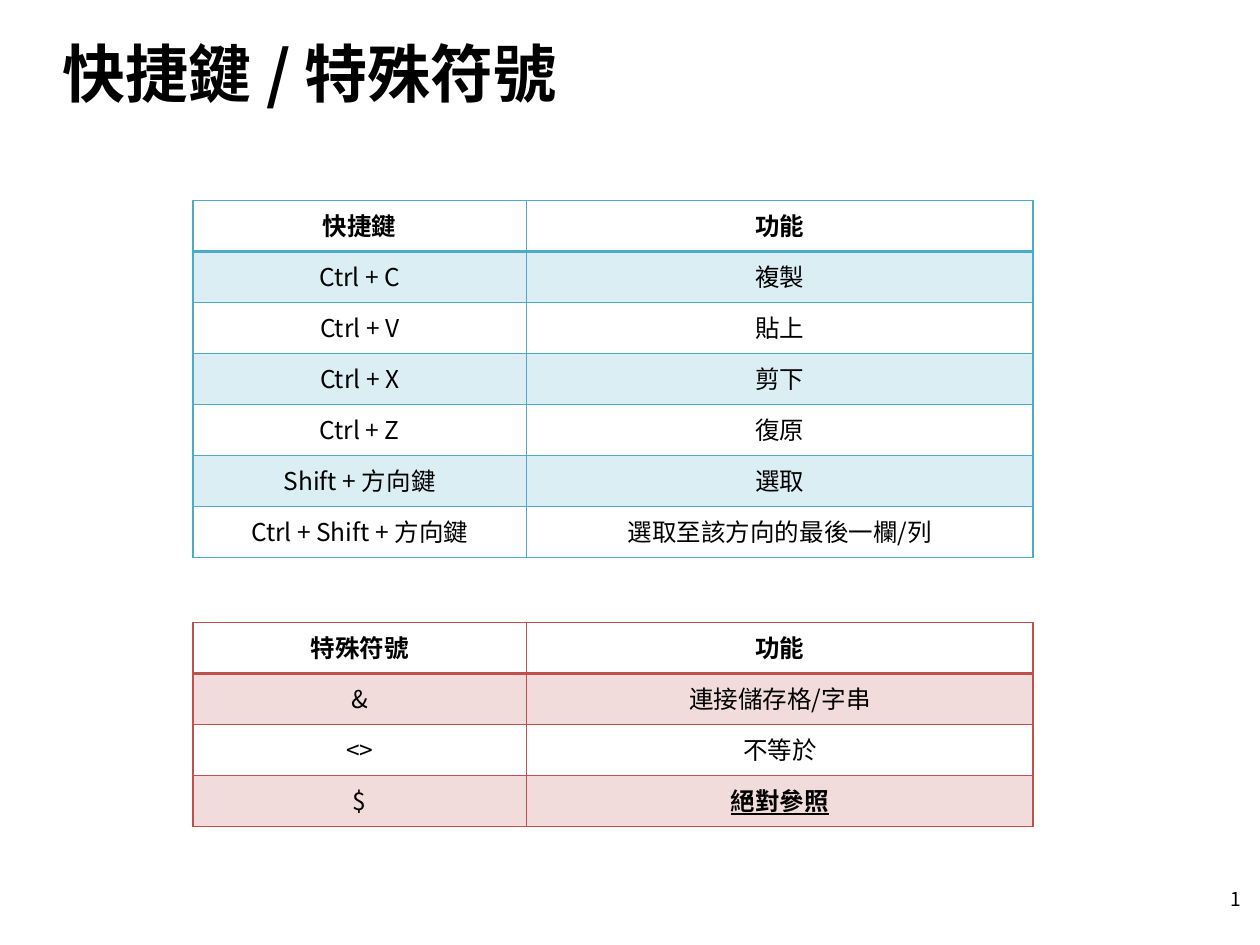
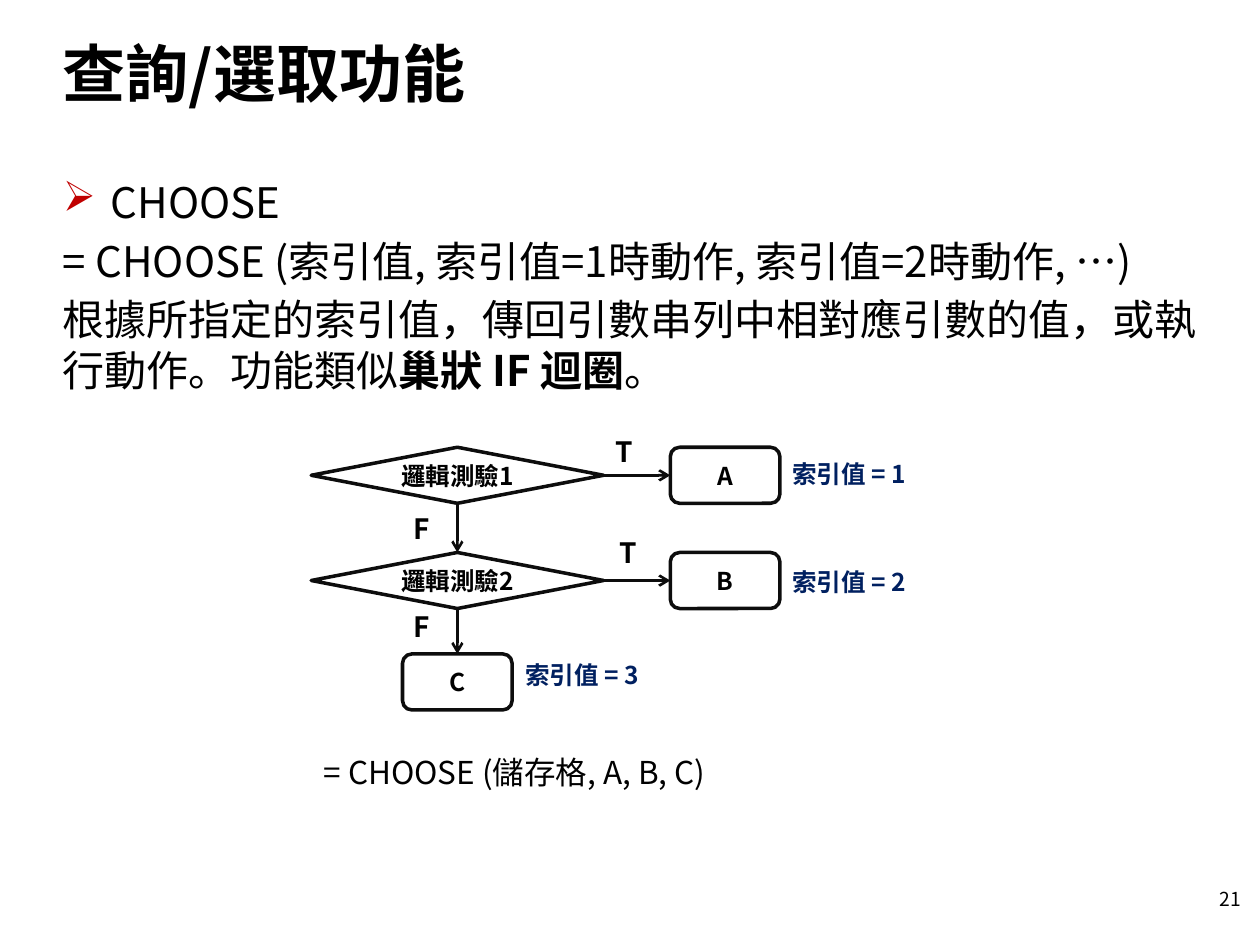
from lxml import etree
from pptx import Presentation
from pptx.dml.color import RGBColor
from pptx.enum.shapes import MSO_CONNECTOR, MSO_SHAPE
from pptx.enum.text import MSO_ANCHOR, PP_ALIGN
from pptx.oxml.ns import qn
from pptx.util import Emu, Pt

STRAIGHT = MSO_CONNECTOR.STRAIGHT
DIAMOND, ROUNDED = MSO_SHAPE.DIAMOND, MSO_SHAPE.ROUNDED_RECTANGLE
TOP, MIDDLE = MSO_ANCHOR.TOP, MSO_ANCHOR.MIDDLE
LEFT, CENTER, RIGHT = PP_ALIGN.LEFT, PP_ALIGN.CENTER, PP_ALIGN.RIGHT

PX = 4572
FONT = "Noto Sans CJK SC"
COLORS = {
    "text": "000000",
    "outline": "0D0D0D",
    "index": "002060",
    "bullet": "C00000",
    "teal": "4BACC6",
    "teal_band": "DBEEF4",
    "red": "C0504D",
    "red_band": "F2DCDB",
}
COLUMN_WIDTHS = (530, 804)
ROW_HEIGHT = 81
NODE_HEIGHT = 89
DIAMOND_WIDTH, RESULT_WIDTH = 464, 174
SHORTCUTS = [
    ("快捷鍵", "功能"),
    ("Ctrl + C", "複製"),
    ("Ctrl + V", "貼上"),
    ("Ctrl + X", "剪下"),
    ("Ctrl + Z", "復原"),
    ("Shift + 方向鍵", "選取"),
    ("Ctrl + Shift + 方向鍵", "選取至該方向的最後一欄/列"),
]
SYMBOLS = [("特殊符號", "功能"), ("&", "連接儲存格/字串"), ("<>", "不等於"), ("$", "絕對參照")]


def px(*lengths):
    """Convert px lengths to EMU."""
    return [Emu(length * PX) for length in lengths]


def rgb(name):
    """Look up a palette colour."""
    return RGBColor.from_string(COLORS[name])


def add_element(parent, tag, **attributes):
    """Append a DrawingML element to its parent."""
    return etree.SubElement(parent, qn(tag), attributes)


def write(paragraph, text, size=14, color="text", bold=False, underline=False, align=LEFT):
    """Add formatted text to a paragraph."""
    paragraph.alignment = align
    run = paragraph.add_run()
    run.text = text
    font = run.font
    font.size, font.bold, font.name = Pt(size), bold, FONT
    font.underline = underline
    font.color.rgb = rgb(color)
    add_element(font._element, "a:ea", typeface=FONT)


def add_text(slide, box, text, anchor=TOP, wrap=True, **style):
    """Place a text box and return its frame."""
    frame = slide.shapes.add_textbox(*px(*box)).text_frame
    frame.word_wrap, frame.vertical_anchor = wrap, anchor
    write(frame.paragraphs[0], text, **style)
    return frame


def add_page(deck, title, number):
    """Start a slide with its title and page number."""
    slide = deck.slides.add_slide(deck.slide_layouts[6])
    add_text(slide, (80, 12, 1838, 204), title, MIDDLE, size=36, bold=True)
    add_text(slide, (1524, 1386, 466, 80), str(number), MIDDLE, size=11, align=RIGHT)
    return slide


def set_borders(cell, color, top, bottom):
    """Draw the four borders of a table cell."""
    properties = cell._tc.get_or_add_tcPr()
    for index, (side, width) in enumerate(zip("LRTB", (1, 1, top, bottom))):
        line = etree.Element(qn(f"a:ln{side}"), w=str(Pt(width)))
        add_element(add_element(line, "a:solidFill"), "a:srgbClr", val=COLORS[color])
        properties.insert(index, line)


def add_reference_table(slide, top, rows, color, emphasized=None):
    """Add a two-column table with a header and banded rows."""
    box = px(306, top, sum(COLUMN_WIDTHS), ROW_HEIGHT * len(rows))
    table = slide.shapes.add_table(len(rows), len(COLUMN_WIDTHS), *box).table
    for column, width in zip(table.columns, COLUMN_WIDTHS):
        column.width = Emu(width * PX)
    for r, entries in enumerate(rows):
        table.rows[r].height = Emu(ROW_HEIGHT * PX)
        for c, entry in enumerate(entries):
            cell = table.cell(r, c)
            if r % 2:
                cell.fill.solid()
                cell.fill.fore_color.rgb = rgb(f"{color}_band")
            else:
                cell.fill.background()
            set_borders(cell, color, 2 if r == 1 else 1, 2 if r == 0 else 1)
            strong = entry == emphasized
            write(cell.text_frame.paragraphs[0], entry, bold=r == 0 or strong,
                  underline=strong, align=CENTER)


def add_node(slide, kind, left, top, label):
    """Add an outlined flowchart node."""
    width = DIAMOND_WIDTH if kind == DIAMOND else RESULT_WIDTH
    node = slide.shapes.add_shape(kind, *px(left, top, width, NODE_HEIGHT))
    node.shadow.inherit = False
    node.fill.background()
    node.line.color.rgb, node.line.width = rgb("outline"), Pt(2)
    frame = node.text_frame
    frame.vertical_anchor, frame.word_wrap = MIDDLE, True
    write(frame.paragraphs[0], label, bold=True, align=CENTER)
    return node


def add_arrow(slide, source, source_side, target, target_side):
    """Join two nodes with an arrow."""
    arrow = slide.shapes.add_connector(STRAIGHT, 0, 0, 0, 0)
    arrow.begin_connect(source, source_side)
    arrow.end_connect(target, target_side)
    arrow.line.color.rgb, arrow.line.width = rgb("outline"), Pt(1.5)
    add_element(arrow.line._get_or_add_ln(), "a:tailEnd", type="arrow")
    add_element(arrow._element.spPr, "a:effectLst")


def add_explanation(slide):
    """Describe the CHOOSE function."""
    frame = add_text(slide, (80, 270, 1858, 398), "CHOOSE", size=24)
    heading = frame.paragraphs[0]._p.get_or_add_pPr()
    heading.set("marL", str(76 * PX))
    heading.set("indent", str(-76 * PX))
    add_element(add_element(heading, "a:buClr"), "a:srgbClr", val=COLORS["bullet"])
    add_element(heading, "a:buChar", char="➢")
    for runs in (
        ["= CHOOSE (索引值, 索引值=1時動作, 索引值=2時動作, …)"],
        ["根據所指定的索引值，傳回引數串列中相對應引數的值，或執行動作。功能類似",
         "巢狀 IF 迴圈", "。"],
    ):
        paragraph = frame.add_paragraph()
        paragraph.space_before = Pt(4.8)
        for position, text in enumerate(runs):
            write(paragraph, text, size=24, bold=position == 1)


def add_flowchart(slide):
    """Draw the nested tests and their results."""
    first_test = add_node(slide, DIAMOND, 494, 710, "邏輯測驗1")
    result_a = add_node(slide, ROUNDED, 1064, 710, "A")
    second_test = add_node(slide, DIAMOND, 494, 877, "邏輯測驗2")
    result_b = add_node(slide, ROUNDED, 1064, 877, "B")
    result_c = add_node(slide, ROUNDED, 639, 1038, "C")
    add_arrow(slide, first_test, 2, second_test, 0)
    add_arrow(slide, second_test, 2, result_c, 0)
    add_arrow(slide, first_test, 3, result_a, 1)
    add_arrow(slide, second_test, 3, result_b, 1)
    for outcome, left, top in (("T", 958, 680), ("T", 964, 840), ("F", 636, 802), ("F", 636, 958)):
        add_text(slide, (left, top, 66, 74), outcome, wrap=False, size=16, bold=True)
    for index, (left, top) in enumerate(((1238, 718), (1238, 890), (814, 1038)), 1):
        add_text(slide, (left, top, 230, 68), f"索引值 = {index}", wrap=False,
                 color="index", bold=True)


def main():
    """Build and save the slides."""
    deck = Presentation()
    deck.slide_width, deck.slide_height = px(2000, 1500)

    shortcuts = add_page(deck, "快捷鍵 / 特殊符號", 1)
    add_reference_table(shortcuts, 318, SHORTCUTS, "teal")
    add_reference_table(shortcuts, 988, SYMBOLS, "red", emphasized="絕對參照")

    choose = add_page(deck, "查詢/選取功能", 21)
    add_explanation(choose)
    add_flowchart(choose)
    add_text(choose, (494, 1186, 960, 116), "= CHOOSE (儲存格, A, B, C)", size=18)
    deck.save("out.pptx")


if __name__ == "__main__":
    main()
